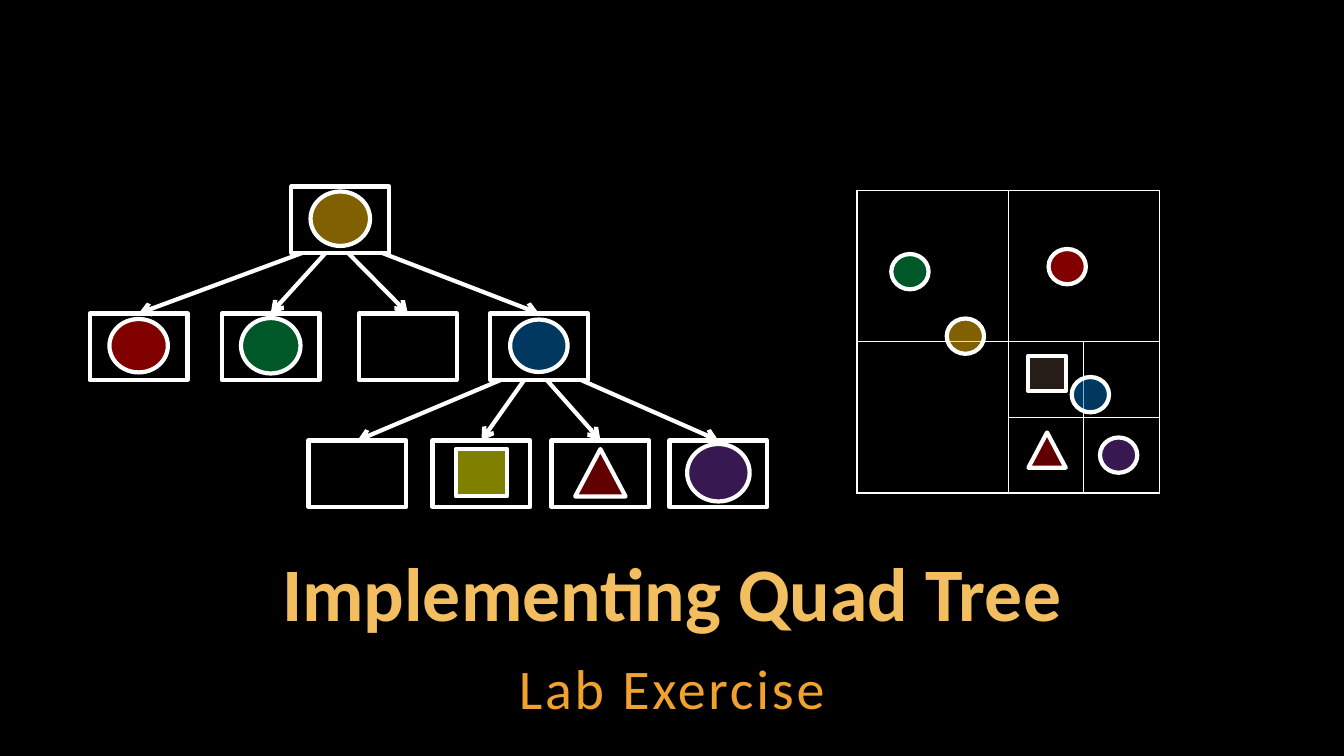
from lxml.etree import SubElement
from pptx import Presentation
from pptx.dml.color import RGBColor
from pptx.enum.shapes import MSO_CONNECTOR, MSO_SHAPE
from pptx.enum.text import MSO_ANCHOR, MSO_AUTO_SIZE, PP_ALIGN
from pptx.oxml.ns import qn
from pptx.util import Inches, Pt

COLORS = {
    "background": "000000", "line": "FFFFFF",
    "title": "F3BE60", "subtitle": "F0A22E",
    "red": "FF0000", "green": "00B050", "gold": "FFC000", "blue": "0070C0",
    "purple": "7030A0", "crimson": "C00000", "brown": "4E3B30", "yellow": "FFFF00",
}
CIRCLE, TRIANGLE, SQUARE = MSO_SHAPE.OVAL, MSO_SHAPE.ISOSCELES_TRIANGLE, MSO_SHAPE.RECTANGLE

# Tree: node size, distance between levels, and where arrows leave the parent
NODE_WIDTH, NODE_HEIGHT, LEVEL_STEP = 0.97, 0.66, 1.26
ARROW_SHARES = (0.11, 0.35, 0.58, 0.93)
# Each level: left offset of the node, then its mark (shape, color, width, height)
TREE_LEVELS = [
    [(2.0, (CIRCLE, "gold", 0.59, 0.54))],
    [(0, (CIRCLE, "red", 0.58, 0.53)), (1.31, (CIRCLE, "green", 0.59, 0.55)),
     (2.67, None), (3.97, (CIRCLE, "blue", 0.57, 0.52))],
    [(2.17, None), (3.4, (SQUARE, "yellow", 0.51, 0.47)),
     (4.58, (TRIANGLE, "crimson", 0.5, 0.47)), (5.75, (CIRCLE, "purple", 0.62, 0.57))],
]

# Map: marks with left and top offsets inside the map
MARK_WIDTH, MARK_HEIGHT = 0.37, 0.35
MAP_MARKS = [
    (CIRCLE, "green", 0.34, 0.63), (CIRCLE, "red", 1.9, 0.58),
    (CIRCLE, "gold", 0.89, 1.27), (CIRCLE, "blue", 2.13, 1.85),
    (CIRCLE, "purple", 2.41, 2.45), (TRIANGLE, "crimson", 1.7, 2.4),
    (SQUARE, "brown", 1.7, 1.64),
]


def color(name):
    return RGBColor.from_string(COLORS[name])


def add_mark(shapes, kind, fill, left, top, width, height):
    """Outlined shape, half transparent, or hollow when fill is None."""
    shape = shapes.add_shape(kind, Inches(left), Inches(top), Inches(width), Inches(height))
    shape.shadow.inherit = False
    if fill:
        shape.fill.solid()
        shape.fill.fore_color.rgb = color(fill)
        tint = shape._element.spPr.find(qn("a:solidFill"))[0]
        SubElement(tint, qn("a:alpha"), val="50000")
    else:
        shape.fill.background()
    shape.line.color.rgb = color("line")
    shape.line.width = Pt(3)
    return shape


def add_arrow(shapes, parent, share, child):
    connector = shapes.add_connector(
        MSO_CONNECTOR.STRAIGHT, parent.left + int(parent.width * share),
        parent.top + parent.height, child.left, child.top)
    connector.end_connect(child, 0)
    connector.line.color.rgb = color("line")
    connector.line.width = Pt(3)
    SubElement(connector.line._get_or_add_ln(), qn("a:tailEnd"), type="arrow")
    SubElement(connector._element.spPr, qn("a:effectLst"))


def add_tree(slide, left, top):
    shapes = slide.shapes.add_group_shape().shapes
    parent = None
    for level, nodes in enumerate(TREE_LEVELS):
        node_top = top + level * LEVEL_STEP
        boxes = []
        for offset, mark in nodes:
            boxes.append(add_mark(shapes, SQUARE, None, left + offset, node_top,
                                  NODE_WIDTH, NODE_HEIGHT))
            if mark:
                kind, fill, width, height = mark
                add_mark(shapes, kind, fill, left + offset + (NODE_WIDTH - width) / 2,
                         node_top + (NODE_HEIGHT - height) / 2 - 0.01, width, height)
        if parent is not None:
            for share, box in zip(ARROW_SHARES, boxes):
                add_arrow(shapes, parent, share, box)
        parent = boxes[-1]  # the last node is the one that splits further


def format_cell(cell):
    properties = cell._tc.get_or_add_tcPr()
    for side in ("lnL", "lnR", "lnT", "lnB"):
        border = SubElement(properties, qn(f"a:{side}"), w=str(Pt(1)))
        fill = SubElement(border, qn("a:solidFill"))
        SubElement(fill, qn("a:srgbClr"), val=COLORS["line"])
    cell.fill.background()


def add_map(slide, left, top, size):
    # Quadrants, the lower right one split again
    table = slide.shapes.add_table(3, 3, Inches(left), Inches(top),
                                   Inches(size), Inches(size)).table
    table.first_row = table.horz_banding = False
    for index, share in enumerate((0.5, 0.25, 0.25)):
        table.columns[index].width = Inches(size * share)
        table.rows[index].height = Inches(size * share)
    for cell in table.iter_cells():
        format_cell(cell)
    table.cell(0, 1).merge(table.cell(0, 2))
    table.cell(1, 0).merge(table.cell(2, 0))
    # Points
    for kind, fill, mark_left, mark_top in MAP_MARKS:
        add_mark(slide.shapes, kind, fill, left + mark_left, top + mark_top,
                 MARK_WIDTH, MARK_HEIGHT)


def add_heading(shape, text, box, size, fill, spacing, bold=False):
    shape.left, shape.top, shape.width, shape.height = map(Inches, box)
    frame = shape.text_frame
    frame.word_wrap = True
    frame.auto_size = MSO_AUTO_SIZE.SHAPE_TO_FIT_TEXT
    frame.margin_left = frame.margin_right = Inches(0.04)
    frame.margin_top = frame.margin_bottom = Inches(0.04)
    paragraph = frame.paragraphs[0]
    paragraph.alignment = PP_ALIGN.CENTER
    paragraph.line_spacing = spacing
    run = paragraph.add_run()
    run.text = text
    run.font.name = "Calibri"
    run.font.size = Pt(size)
    run.font.bold = bold
    run.font.color.rgb = color(fill)
    return paragraph


def add_headings(slide, left, top, width):
    title = slide.shapes.title
    add_heading(title, "Implementing Quad Tree", (left, top, width, 0.9),
                54, "title", 0.9, bold=True)
    title.text_frame.vertical_anchor = MSO_ANCHOR.BOTTOM
    subtitle = slide.shapes.add_textbox(0, 0, 0, 0)
    paragraph = add_heading(subtitle, "Lab Exercise", (left, top + 0.94, width, 0.79),
                            40, "subtitle", 1.05)
    paragraph.space_after = Pt(6)
    paragraph.runs[0].font._element.set("spc", "200")


def main():
    presentation = Presentation()
    presentation.slide_width, presentation.slide_height = Inches(13.33), Inches(7.5)
    slide = presentation.slides.add_slide(presentation.slide_layouts[5])
    slide.background.fill.solid()
    slide.background.fill.fore_color.rgb = color("background")
    add_headings(slide, 1, 5.47, 11.33)
    add_map(slide, 8.5, 1.89, 3)
    add_tree(slide, 0.89, 1.85)
    presentation.save("out.pptx")


if __name__ == "__main__":
    main()
